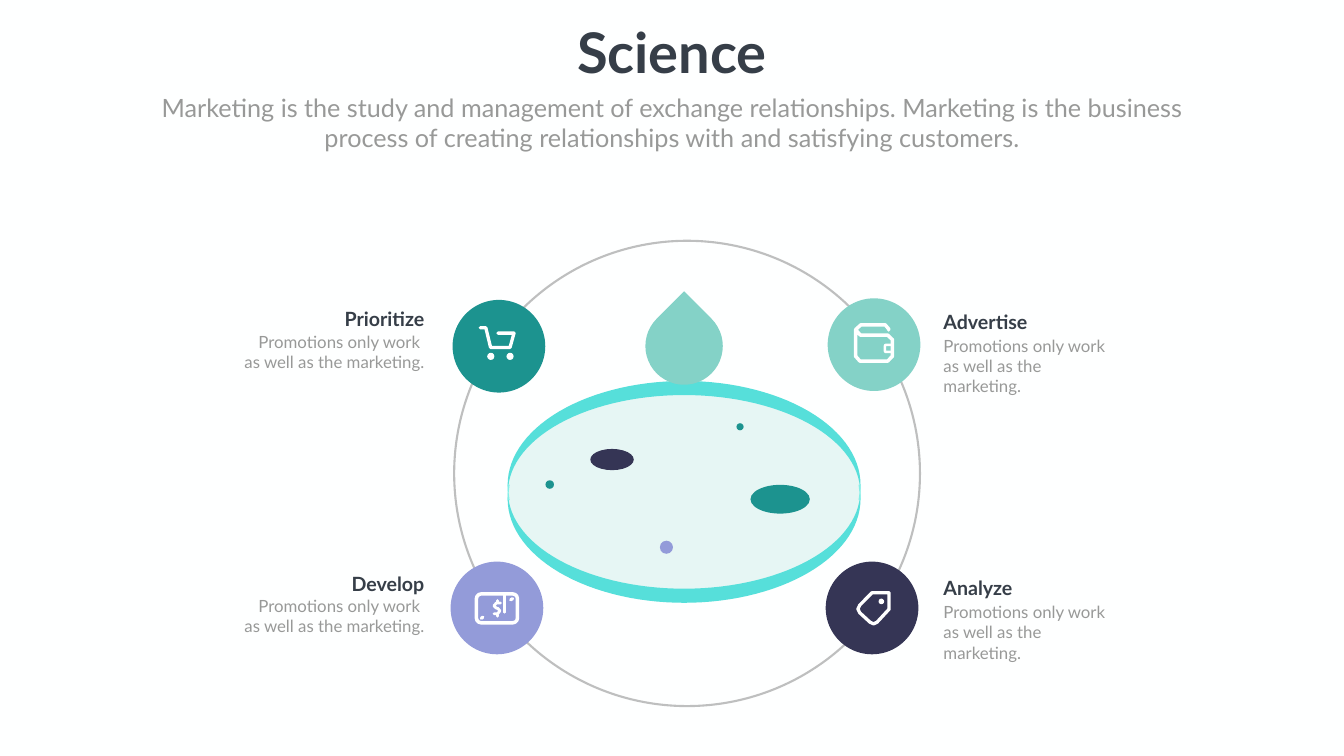
"""Builds the Science slide: a petri dish inside a ring of four marketing steps."""
from math import cos, pi, sin

from lxml.etree import SubElement
from pptx import Presentation
from pptx.dml.color import RGBColor
from pptx.enum.shapes import MSO_CONNECTOR, MSO_SHAPE as Preset
from pptx.enum.text import PP_ALIGN as Align
from pptx.oxml.ns import qn
from pptx.util import Cm, Pt

COLORS = {
    "paper": "FEFFFF", "white": "FFFFFF", "ink": "363E48", "grey": "989998",
    "ring": "808080", "navy": "353555", "mint": "84D2C7", "lilac": "939BD9",
    "teal": "1C938F", "agar": "E6F6F4", "rim": "56DFDA", "glint": "81EFE7",
}
FONT = "Lato"
HEADLINE = "Science"
INTRO = ("Marketing is the study and management of exchange relationships. "
         "Marketing is the business process of creating relationships with "
         "and satisfying customers.")
PROMO_LEFT = ["Promotions only work ", "as well as the marketing."]
PROMO_RIGHT = ["Promotions only work", "as well as the marketing."]

STEPS = [
    ("Analyze", "right", 28.91, "navy", (43.94, 30.64), "tag"),
    ("Advertise", "right", 15.47, "mint", (44.04, 17.37), "wallet"),
    ("Develop", "left", 28.68, "lilac", (25.04, 30.64), "banknote"),
    ("Prioritize", "left", 15.34, "teal", (25.14, 17.45), "cart"),
]
SIDES = {
    "left": dict(edge=21.63, heading=6.05, body=10.74, drop=1.23,
                 align=Align.RIGHT, promo=PROMO_LEFT),
    "right": dict(edge=47.29, heading=5.36, body=9.53, drop=1.3,
                  align=Align.LEFT, promo=PROMO_RIGHT),
}
BADGE = 4.67

ICONS = {
    "cart": dict(
        strokes=[(4.7, False, [(-.94, -.93), (-.66, -.93), (-.42, .06), (.56, .06),
                               (.76, -.66), (-.05, -.66)])],
        dots=[(-.41, .51, .36), (.56, .51, .36)]),
    "tag": dict(
        strokes=[(4.7, True, [(0, -.77), (.86, -.77), (.86, .06), (.25, .72), (.08, .8),
                              (-.1, .72), (-.62, .24), (-.71, .05), (-.62, -.14)])],
        dots=[(.47, -.33, .28)]),
    "banknote": dict(
        frames=[(5, 0, .02, 2.07, 1.46)],
        strokes=[(4, False, [(.18, -.25), (-.03, -.25), (-.15, -.11), (-.03, .01),
                             (.04, .01), (.15, .15), (.03, .29), (-.15, .29)]),
                 (4, False, [(.01, -.37), (.01, -.3)]),
                 (4, False, [(.01, .34), (.01, .41)]),
                 (3.6, False, [(.37, -.66), (.37, .22)]),
                 (4.5, False, [(.69, -.41), (.79, -.47)]),
                 (4.5, False, [(-.79, .52), (-.71, .46)])]),
    "wallet": dict(
        frames=[(3.6, .74, .19, .38, .36)],
        strokes=[(5, False, [(-.93, -.76), (-.93, .58), (-.71, .83), (.69, .83),
                             (.93, .58), (.93, -.25), (.69, -.48), (-.69, -.48),
                             (-.93, -.76), (-.66, -1), (.56, -1), (.74, -.79),
                             (.74, -.74)])]),
}

DISH_X, DISH_Y = 34.47, 24.79
SPOTS = [
    ("teal", 39.31, 25.16, 2.99, 1.45), ("navy", 30.84, 23.16, 2.19, 1.07),
    ("lilac", 33.58, 27.58, .66, .66), ("teal", 37.29, 21.51, .36, .36),
    ("teal", 27.7, 24.42, .43, .43),
]


def rgb(name):
    return RGBColor.from_string(COLORS[name])


def paint(shape, fill=None, line=None, weight=1):
    shape.shadow.inherit = False
    if fill:
        shape.fill.solid()
        shape.fill.fore_color.rgb = rgb(fill)
    else:
        shape.fill.background()
    if line:
        shape.line.color.rgb = rgb(line)
        shape.line.width = Pt(weight)
    else:
        shape.line.fill.background()
    return shape


def centred(preset, x, y, width, height, **look):
    shape = slide.shapes.add_shape(preset, Cm(x - width / 2), Cm(y - height / 2),
                                   Cm(width), Cm(height))
    return paint(shape, **look)


def outline(points, closed, **look):
    (x, y), *rest = [(Cm(px), Cm(py)) for px, py in points]
    builder = slide.shapes.build_freeform(x, y)
    builder.add_line_segments(rest, close=closed)
    return paint(builder.convert_to_shape(), **look)


def stroke(points, closed, weight):
    if len(points) == 2:
        (x1, y1), (x2, y2) = points
        drawn = slide.shapes.add_connector(MSO_CONNECTOR.STRAIGHT,
                                           Cm(x1), Cm(y1), Cm(x2), Cm(y2))
        drawn.line.color.rgb = rgb("white")
        drawn.line.width = Pt(weight)
        SubElement(drawn.element.spPr, qn("a:effectLst"))
    else:
        drawn = outline(points, closed, line="white", weight=weight)
    ln = drawn.element.spPr.find(qn("a:ln"))
    ln.set("cap", "rnd")
    SubElement(ln, qn("a:round"))


def write(lines, x, y, width, height, size, color, align, bold=False, wrap=True):
    frame = slide.shapes.add_textbox(Cm(x), Cm(y), Cm(width), Cm(height)).text_frame
    frame.word_wrap = wrap
    for index, line in enumerate(lines):
        paragraph = frame.add_paragraph() if index else frame.paragraphs[0]
        paragraph.alignment = align
        run = paragraph.add_run()
        run.text = line
        run.font.name, run.font.size, run.font.bold = FONT, Pt(size), bold
        run.font.color.rgb = rgb(color)


def draw_icon(icon, x, y):
    for weight, dx, dy, width, height in icon.get("frames", []):
        centred(Preset.ROUNDED_RECTANGLE, x + dx, y + dy, width, height,
                line="white", weight=weight)
    for weight, closed, points in icon["strokes"]:
        stroke([(x + dx, y + dy) for dx, dy in points], closed, weight)
    for dx, dy, size in icon.get("dots", []):
        centred(Preset.OVAL, x + dx, y + dy, size, size, fill="white")


def half_ellipse(y, rx, ry, side, steps=60):
    angles = [pi * step / steps for step in range(steps + 1)]
    return [(DISH_X + rx * cos(a), y + side * ry * sin(a)) for a in angles]


def draw_dish():
    centred(Preset.OVAL, DISH_X, DISH_Y, 17.73, 10.17, fill="agar")
    for side in (-1, 1):
        outer = half_ellipse(DISH_Y + side * .36, 8.89, 5.23, side)
        inner = half_ellipse(DISH_Y, 8.87, 4.88, side)
        outline(outer + inner[::-1], True, fill="rim")
    for side in (1, -1):
        glint = [(8.89, -.36), (8.89, .43), (8.79, .41), (8.84, .05), (8.79, -.36)]
        outline([(DISH_X + side * dx, DISH_Y + dy) for dx, dy in glint], True, fill="glint")
    for color, *place in SPOTS:
        centred(Preset.OVAL, *place, fill=color)
    centred(Preset.TEAR, DISH_X, 17.44, 3.9, 3.9, fill="mint").rotation = 315


def draw_step(heading, side, top, color, centre, icon):
    column = SIDES[side]
    centred(Preset.OVAL, *centre, BADGE, BADGE, fill=color)
    draw_icon(ICONS[icon], *centre)
    for lines, width, y, height, size, ink, bold in (
            ([heading], column["heading"], top, 1.45, 28, "ink", True),
            (column["promo"], column["body"], top + column["drop"], 4.37, 24, "grey", False)):
        x = column["edge"] - (width if side == "left" else 0)
        write(lines, x, y, width, height, size, ink, column["align"], bold)


deck = Presentation()
deck.slide_width, deck.slide_height = Cm(67.72), Cm(38.1)
slide = deck.slides.add_slide(deck.slide_layouts[6])
slide.background.fill.solid()
slide.background.fill.fore_color.rgb = rgb("paper")

ring = centred(Preset.OVAL, 34.62, 23.86, 23.47, 23.45, line="ring", weight=3)
ring_color = ring.element.spPr.find(qn("a:ln")).find(qn("a:solidFill"))[0]
SubElement(ring_color, qn("a:alpha"), val="50000")
for step in STEPS:
    draw_step(*step)
write([HEADLINE], 28.73, .74, 10.26, 3.68, 80, "ink", Align.CENTER, bold=True, wrap=False)
write([INTRO], 7.42, 4.52, 52.88, 3.33, 36, "grey", Align.CENTER)
draw_dish()
deck.save("out.pptx")
